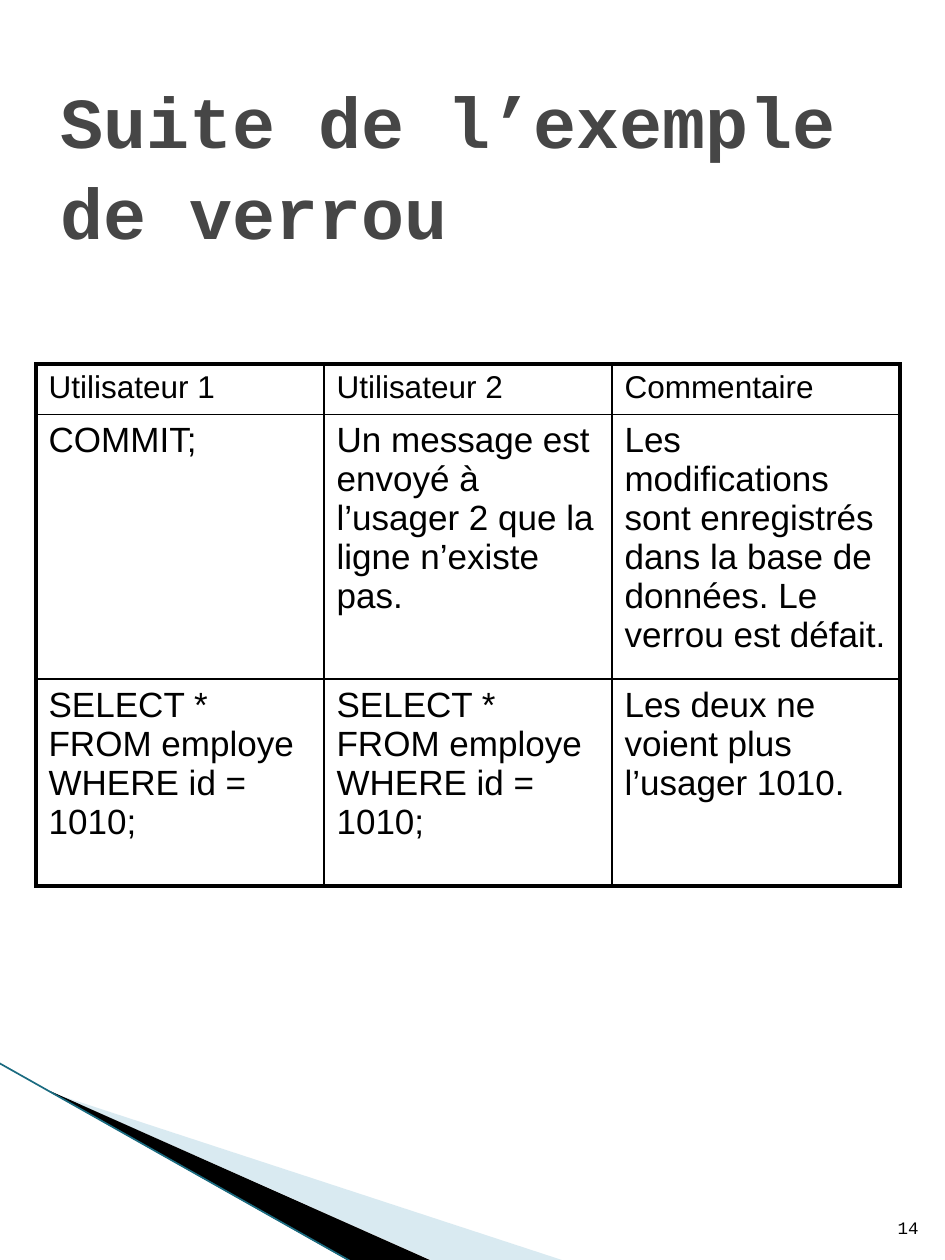
from lxml import etree
from pptx import Presentation
from pptx.dml.color import RGBColor
from pptx.enum.shapes import MSO_CONNECTOR
from pptx.enum.text import MSO_ANCHOR, PP_ALIGN
from pptx.oxml.ns import qn
from pptx.util import Emu, Pt

SCALE = 914400 // 126
STRAIGHT = MSO_CONNECTOR.STRAIGHT
MIDDLE, BOTTOM = MSO_ANCHOR.MIDDLE, MSO_ANCHOR.BOTTOM
LEFT, RIGHT = PP_ALIGN.LEFT, PP_ALIGN.RIGHT
COLORS = {"ink": "000000", "title": "464646", "pale": "A0CBDC", "edge": "1A6B80", "paper": "FFFFFF"}
QUERY = "SELECT * FROM employe WHERE id = 1010;"
ROWS = [
    ["Utilisateur 1", "Utilisateur 2", "Commentaire"],
    ["COMMIT;", "Un message est envoyé à l’usager 2 que la ligne n’existe pas.",
     "Les modifications sont enregistrés dans la base de données. Le verrou est défait."],
    [QUERY, QUERY, "Les deux ne voient plus l’usager 1010."],
]
ROW_HEIGHTS = [48, 247, 207]


def px(length):
    """Turn whole pixels into EMU."""
    return Emu(length * SCALE)


def color(name):
    """Look up a named colour."""
    return RGBColor.from_string(COLORS[name])


def style_font(para, font, size, ink, bold=False):
    """Set the font of a paragraph."""
    para.font.name, para.font.size, para.font.bold = font, Pt(size), bold
    para.font.color.rgb = color(ink)


def add_text(page, box, text, size, ink, anchor, align, bold=False, spacing=1.0):
    """Place one paragraph of Courier New in a box."""
    frame = page.shapes.add_textbox(*map(px, box)).text_frame
    frame.word_wrap, frame.vertical_anchor = True, anchor
    para = frame.paragraphs[0]
    para.text, para.alignment, para.line_spacing = text, align, spacing
    style_font(para, "Courier New", size, ink, bold)


def add_wedge(page, left, top, points, fill, alpha=100):
    """Draw a filled outline from points relative to a corner."""
    corners = [(left + x, top + y) for x, y in points]
    builder = page.shapes.build_freeform(*corners[0], scale=SCALE)
    builder.add_line_segments(corners[1:], close=True)
    wedge = builder.convert_to_shape()
    wedge.shadow.inherit = False
    wedge.line.fill.background()
    wedge.fill.solid()
    wedge.fill.fore_color.rgb = color(fill)
    if alpha < 100:
        tint = wedge.fill._xPr.find(".//" + qn("a:srgbClr"))
        etree.SubElement(tint, qn("a:alpha"), val=str(alpha * 1000))


def add_corner(page, left, top):
    """Draw the wedges and the slanted line of the lower left corner."""
    add_wedge(page, left + 52, top + 29, [(0, 1), (510, 168), (379, 168), (0, 0)], "pale", 40)
    add_wedge(page, left + 50, top + 28, [(0, 0), (382, 170), (301, 171), (0, 1)], "ink")
    edge = page.shapes.add_connector(STRAIGHT, *map(px, (left - 1, top, left + 352, top + 199)))
    edge.line.color.rgb, edge.line.width = color("edge"), Pt(0.95)
    etree.SubElement(edge._element.spPr, qn("a:effectLst"))


def set_borders(cell, widths):
    """Give the four sides of a cell black lines."""
    props = cell._tc.get_or_add_tcPr()
    for index, (side, width) in enumerate(widths.items()):
        line = etree.Element(qn("a:ln" + side), w=str(Pt(width)))
        fill = etree.SubElement(line, qn("a:solidFill"))
        etree.SubElement(fill, qn("a:srgbClr"), val=COLORS["ink"])
        props.insert(index, line)


def add_lock_table(page, left, top, width):
    """Build the table of sessions with a heavy outer frame."""
    count = len(ROWS[0])
    frame = page.shapes.add_table(len(ROWS), count, *map(px, (left, top, width, sum(ROW_HEIGHTS))))
    table = frame.table
    table.first_row = table.horz_banding = False
    for column in table.columns:
        column.width = px(width // count)
    for row, (texts, height) in enumerate(zip(ROWS, ROW_HEIGHTS)):
        table.rows[row].height = px(height)
        for col, text in enumerate(texts):
            cell = table.cell(row, col)
            cell.text = text
            style_font(cell.text_frame.paragraphs[0], "Arial", 20 if row else 18, "ink")
            cell.fill.solid()
            cell.fill.fore_color.rgb = color("paper")
            outer = {"L": col == 0, "R": col == count - 1, "T": row == 0, "B": row == len(ROWS) - 1}
            set_borders(cell, {side: 2.25 if heavy else 1 for side, heavy in outer.items()})


def main():
    """Build the slide and save it."""
    deck = Presentation()
    deck.slide_width, deck.slide_height = px(945), px(1260)
    page = deck.slides.add_slide(deck.slide_layouts[6])
    add_corner(page, 0, 1063)
    add_text(page, (859, 1177, 72, 67), "14", 10, "ink", BOTTOM, RIGHT)
    add_text(page, (48, 58, 850, 210), "Suite de l’exemple de verrou", 41, "title", MIDDLE, LEFT, True, 1.06)
    add_lock_table(page, 36, 364, 864)
    deck.save("out.pptx")


main()
